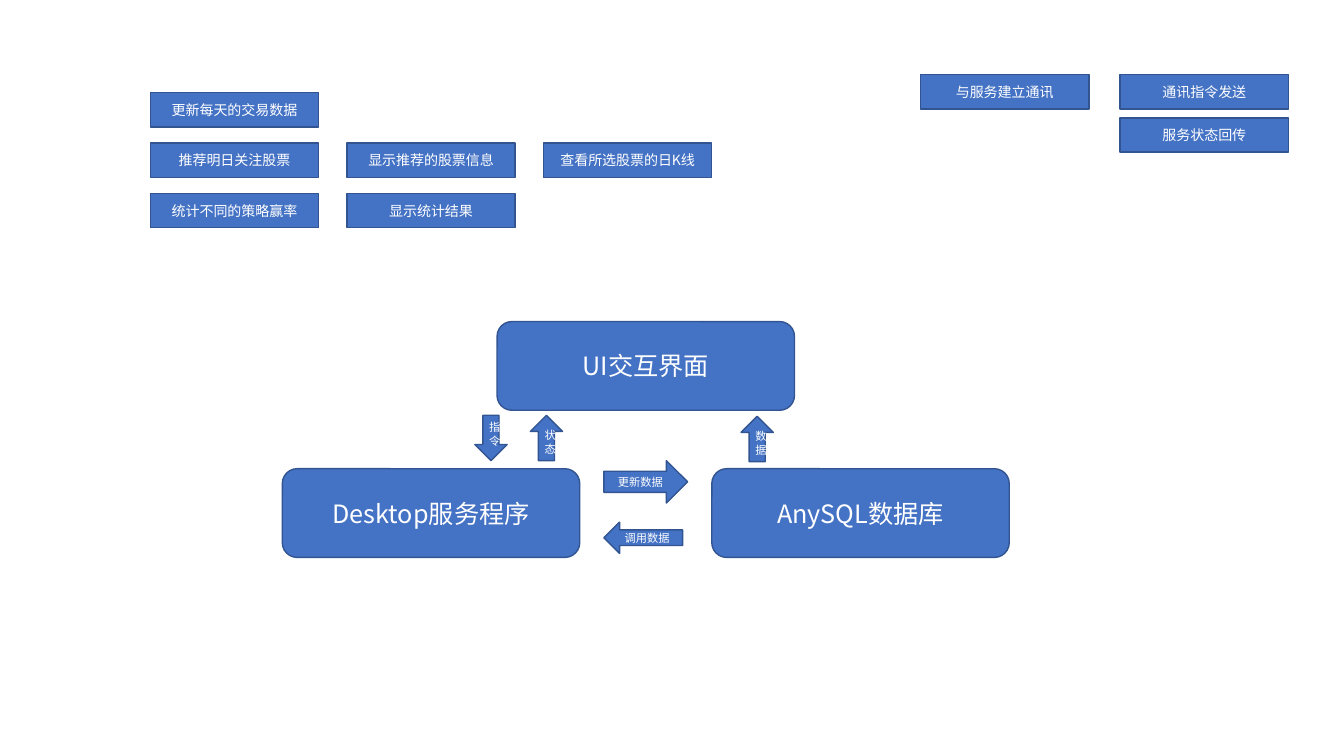
from dataclasses import dataclass

from lxml.etree import SubElement
from pptx import Presentation
from pptx.dml.color import RGBColor
from pptx.enum.shapes import MSO_SHAPE
from pptx.enum.text import MSO_ANCHOR, PP_ALIGN
from pptx.oxml.ns import qn
from pptx.util import Inches, Pt


@dataclass(frozen=True)
class Theme:
    fill: RGBColor = RGBColor(0x44, 0x72, 0xC4)
    line: RGBColor = RGBColor(0x32, 0x54, 0x91)
    text: RGBColor = RGBColor(0xFF, 0xFF, 0xFF)
    font: str = "Noto Sans CJK SC"
    line_width: float = 1
    feature_size: float = 10
    component_size: float = 18
    flow_size: float = 8


@dataclass(frozen=True)
class Grid:
    left: float
    top: float
    column_step: float
    row_step: float

    def position(self, column, row):
        return self.left + column * self.column_step, self.top + row * self.row_step


THEME = Theme()
FEATURE_BOX = (1.67, 0.34)
COMPONENT_BOX = (2.95, 0.88)
VERTICAL_ARROW = (0.32, 0.45)

FEATURE_GRID = Grid(1.49, 0.92, 1.95, 0.5)
MESSAGE_GRID = Grid(9.13, 0.74, 1.98, 0.43)
COMPONENT_GRID = Grid(2.8, 3.19, 2.13, 1.46)

FEATURES = [
    ("更新每天的交易数据", 0, 0),
    ("推荐明日关注股票", 0, 1),
    ("统计不同的策略赢率", 0, 2),
    ("显示统计结果", 1, 2),
    ("显示推荐的股票信息", 1, 1),
    ("查看所选股票的日K线", 2, 1),
]
MESSAGES = [
    ("与服务建立通讯", 0, 0),
    ("通讯指令发送", 1, 0),
    ("服务状态回传", 1, 1),
]
COMPONENTS = [
    ("Desktop服务程序", 0, 1),
    ("AnySQL数据库", 2, 1),
    ("UI交互界面", 1, 0),
]
FLOWS = [
    ("更新数据", MSO_SHAPE.RIGHT_ARROW, (5.99, 4.57), (0.83, 0.42)),
    ("调用数据", MSO_SHAPE.LEFT_ARROW, (5.99, 5.18), (0.78, 0.31)),
    ("指令", MSO_SHAPE.DOWN_ARROW, (4.71, 4.12), VERTICAL_ARROW),
    ("状态", MSO_SHAPE.UP_ARROW, (5.26, 4.12), VERTICAL_ARROW),
    ("数据", MSO_SHAPE.UP_ARROW, (7.35, 4.13), VERTICAL_ARROW),
]


def add_label(shape, text, size):
    frame = shape.text_frame
    frame.word_wrap = True
    frame.vertical_anchor = MSO_ANCHOR.MIDDLE
    paragraph = frame.paragraphs[0]
    paragraph.alignment = PP_ALIGN.CENTER
    run = paragraph.add_run()
    run.text = text
    run.font.size = Pt(size)
    run.font.name = THEME.font
    run.font.color.rgb = THEME.text
    SubElement(run.font._element, qn("a:ea")).set("typeface", THEME.font)


def add_block(slide, kind, text, position, dimensions, size):
    lengths = [Inches(value) for value in (*position, *dimensions)]
    shape = slide.shapes.add_shape(kind, *lengths)
    shape.shadow.inherit = False
    shape.fill.solid()
    shape.fill.fore_color.rgb = THEME.fill
    shape.line.color.rgb = THEME.line
    shape.line.width = Pt(THEME.line_width)
    add_label(shape, text, size)


def add_blocks(slide, kind, blocks, grid, dimensions, size):
    for text, column, row in blocks:
        add_block(slide, kind, text, grid.position(column, row), dimensions, size)


def main():
    presentation = Presentation()
    presentation.slide_width = Inches(13.33)
    presentation.slide_height = Inches(7.5)
    slide = presentation.slides.add_slide(presentation.slide_layouts[6])

    for blocks, grid in ((FEATURES, FEATURE_GRID), (MESSAGES, MESSAGE_GRID)):
        add_blocks(slide, MSO_SHAPE.RECTANGLE, blocks, grid, FEATURE_BOX, THEME.feature_size)
    add_blocks(slide, MSO_SHAPE.ROUNDED_RECTANGLE, COMPONENTS, COMPONENT_GRID,
               COMPONENT_BOX, THEME.component_size)
    for text, kind, position, dimensions in FLOWS:
        add_block(slide, kind, text, position, dimensions, THEME.flow_size)

    presentation.save("out.pptx")


main()
